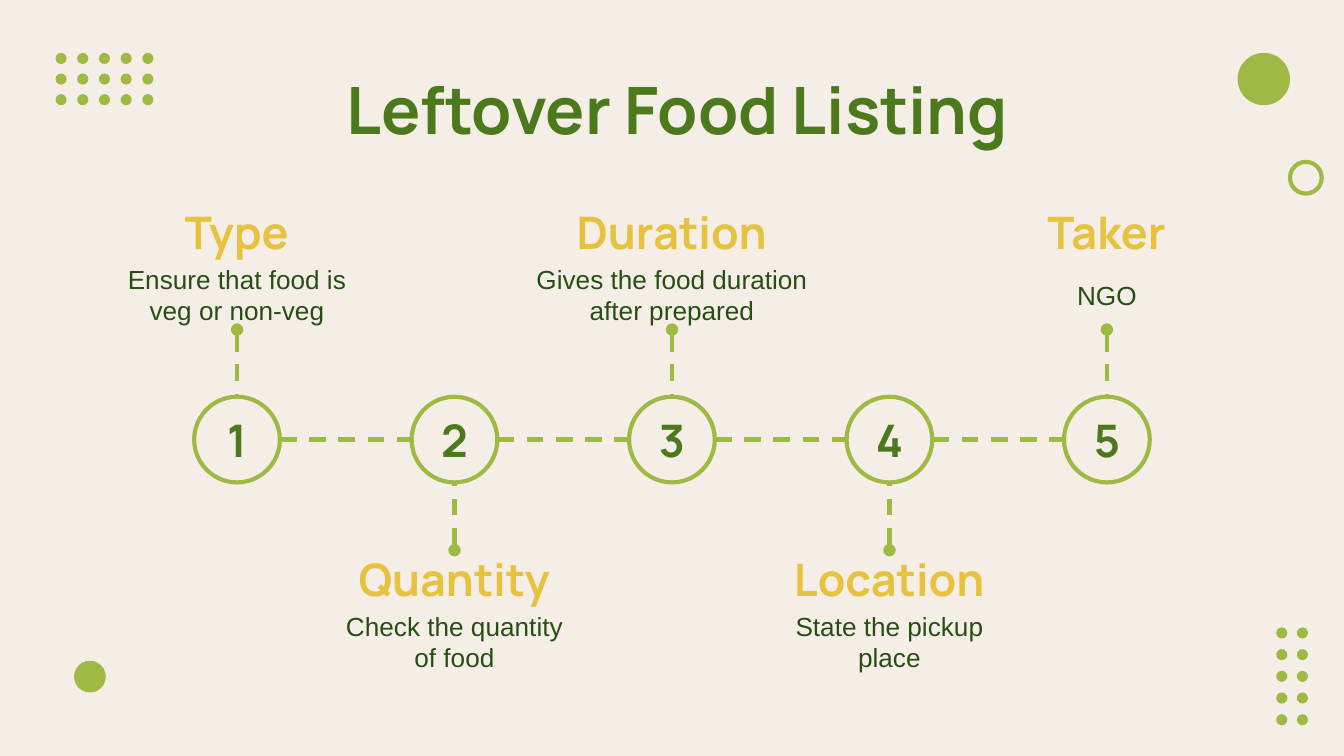
from pptx import Presentation
from pptx.dml.color import RGBColor
from pptx.enum.dml import MSO_LINE
from pptx.enum.shapes import MSO_CONNECTOR, MSO_SHAPE
from pptx.enum.text import MSO_ANCHOR, PP_ALIGN
from pptx.oxml.ns import qn
from pptx.util import Cm, Pt
from lxml import etree

OVAL = MSO_SHAPE.OVAL
LINE = MSO_CONNECTOR.STRAIGHT
DASH = MSO_LINE.DASH
MID = MSO_ANCHOR.MIDDLE
MIDDLE = PP_ALIGN.CENTER

COLORS = {
    "back": "F5EEE7",
    "lime": "9EB944",
    "green": "4B791C",
    "gold": "E6C23E",
    "dark": "274E13",
}
STEPS = [
    ("Type", "Ensure that food is veg or non-veg", 4.95),
    ("Quantity", "Check the quantity of food", 4.95),
    ("Duration", "Gives the food duration after prepared", 5.89),
    ("Location", "State the pickup place", 4.95),
    ("Taker", "NGO", 4.95),
]


def color(name):
    """Return the named colour."""
    return RGBColor.from_string(COLORS[name])


def write(shape, text, size=24, font="Manrope", tint="green", bold=True, inset=0.25):
    """Put centred text into a shape."""
    frame = shape.text_frame
    frame.word_wrap = True
    frame.vertical_anchor = MID
    frame.margin_left = frame.margin_right = Cm(inset)
    frame.margin_top = frame.margin_bottom = Cm(inset)
    para = frame.paragraphs[0]
    para.alignment = MIDDLE
    run = para.add_run()
    run.text = text
    run.font.size = Pt(size)
    run.font.name = font
    run.font.bold = bold
    run.font.color.rgb = color(tint)


def label(slide, text, left, top, width, height, **form):
    """Add a text box."""
    box = slide.shapes.add_textbox(Cm(left), Cm(top), Cm(width), Cm(height))
    write(box, text, **form)


def disc(slide, left, top, size, solid=True):
    """Add a filled circle or an open ring."""
    shape = slide.shapes.add_shape(OVAL, Cm(left), Cm(top), Cm(size), Cm(size))
    shape.shadow.inherit = False
    if solid:
        shape.fill.solid()
        shape.fill.fore_color.rgb = color("lime")
        shape.line.fill.background()
    else:
        shape.fill.background()
        shape.line.color.rgb = color("lime")
        shape.line.width = Pt(2.25)
    return shape


def dash(slide, start, end, oval=False):
    """Add a dashed line, with an oval at its start if asked."""
    link = slide.shapes.add_connector(LINE, *map(Cm, start + end))
    link.line.color.rgb = color("lime")
    link.line.width = Pt(2.25)
    link.line.dash_style = DASH
    if oval:
        etree.SubElement(link.line._get_or_add_ln(), qn("a:headEnd"), type="oval")
    etree.SubElement(link._element.spPr, qn("a:effectLst"))


def dots(slide, left, top, cols, rows, across, down):
    """Add a grid of dots."""
    for row in range(rows):
        for col in range(cols):
            disc(slide, left + col * across, top + row * down, 0.21)


def decor(slide, left, top, width, height):
    """Place the ornaments in the corners of the box."""
    right, base = left + width, top + height
    dots(slide, left + 1.05, top + 1, 5, 3, 0.41, 0.39)
    dots(slide, right - 1.28, base - 2.43, 2, 5, 0.39, 0.41)
    disc(slide, right - 2.01, top + 1, 0.99)
    disc(slide, right - 1.02, top + 3.06, 0.6, solid=False)
    disc(slide, left + 1.4, base - 1.8, 0.6)


def step(slide, mid, top, height, ring, num, item):
    """Place one step, its text above or below the ring by turns."""
    name, text, width = item
    head, body, stem = 1.07, 1.32, 1.28
    center = top + height / 2
    if num % 2:
        y = top
        tip, edge = y + head + body, center - ring / 2
    else:
        y = center + ring / 2 + stem
        tip, edge = y, center + ring / 2
    label(slide, name, mid - 2.48, y, 4.95, head, tint="gold")
    label(slide, text, mid - width / 2, y + head, width, body,
          size=14, font="Arial", tint="dark", bold=False)
    dash(slide, (mid, tip), (mid, edge), oval=True)
    shape = disc(slide, mid - ring / 2, center - ring / 2, ring, solid=False)
    write(shape, str(num), inset=0)


def steps(slide, left, top, width, height):
    """Spread the steps over the box and link their rings."""
    ring, side = 1.62, 2.48
    gap = (width - 2 * side) / (len(STEPS) - 1)
    center = top + height / 2
    for i, item in enumerate(STEPS):
        mid = left + side + i * gap
        step(slide, mid, top, height, ring, i + 1, item)
        if i:
            dash(slide, (mid - gap + ring / 2, center), (mid - ring / 2, center))


def main():
    """Build and save the deck."""
    deck = Presentation()
    deck.slide_width, deck.slide_height = Cm(25.4), Cm(14.29)
    slide = deck.slides.add_slide(deck.slide_layouts[6])
    slide.background.fill.solid()
    slide.background.fill.fore_color.rgb = color("back")
    decor(slide, 0, 0, 25.4, 14.29)
    label(slide, "Leftover Food Listing", 2.1, 1.25, 21.41, 1.6, size=35)
    steps(slide, 2, 3.84, 21.4, 8.94)
    deck.save("out.pptx")


if __name__ == "__main__":
    main()
